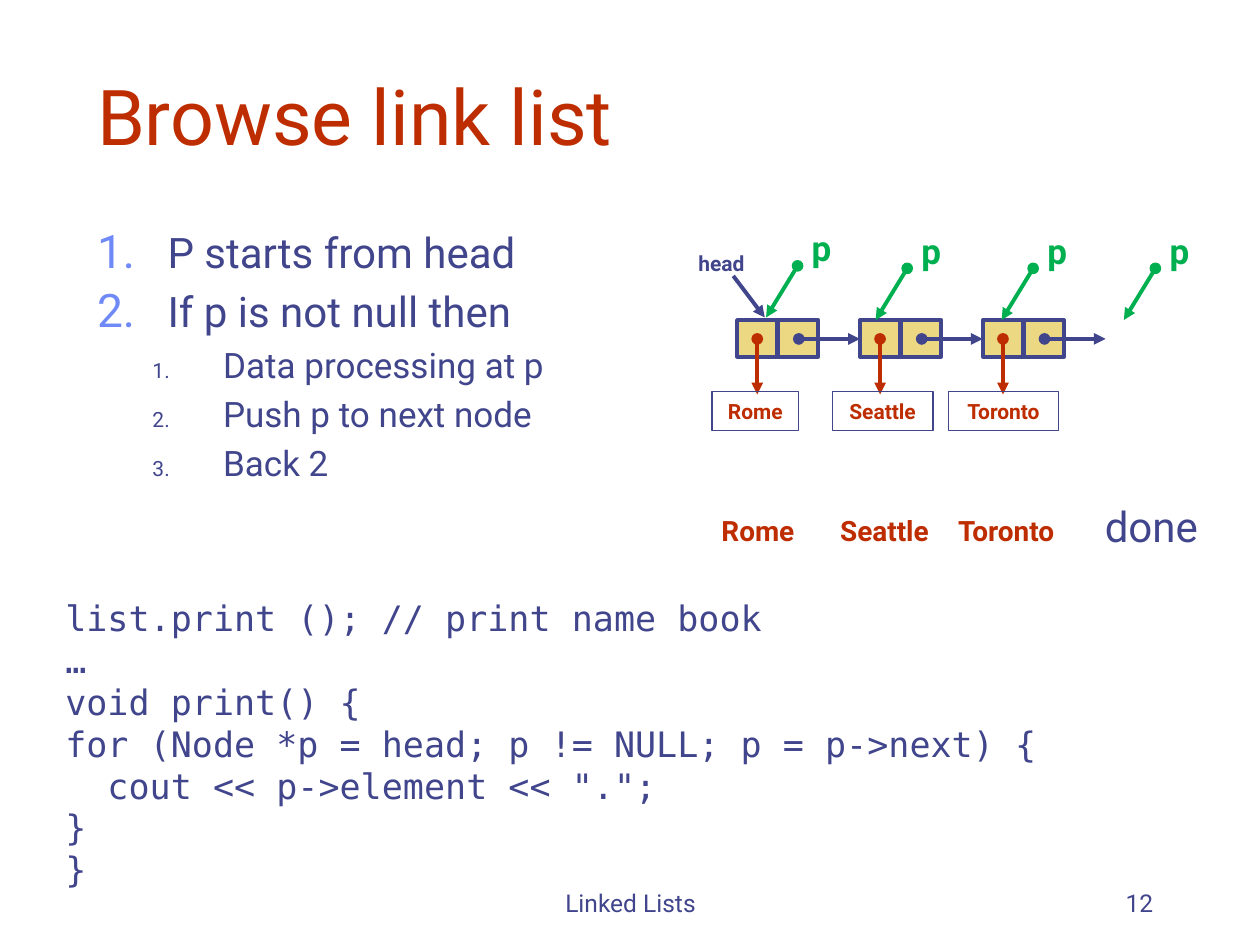
from lxml.etree import SubElement
from pptx import Presentation
from pptx.dml.color import RGBColor
from pptx.enum.shapes import MSO_CONNECTOR as Connector, MSO_SHAPE as Shape
from pptx.enum.text import MSO_ANCHOR as Anchor, MSO_AUTO_SIZE as AutoSize, PP_ALIGN as Align
from pptx.oxml.ns import qn
from pptx.util import Inches, Pt

INK, RUST, GREEN, SAND, SKY = "40458C", "BE2D00", "00B050", "ECD882", "6F89F7"
SANS, MONO = "Roboto", "DejaVu Sans Mono"
CITIES = ["Rome", "Seattle", "Toronto"]


def rgb(code):
    return RGBColor.from_string(code)


def inches(box):
    return [Inches(length) for length in box]


def place(shape, box):
    shape.left, shape.top, shape.width, shape.height = inches(box)


def write(paragraph, words, size, color, bold=False, font=SANS, align=Align.LEFT):
    paragraph.alignment = align
    run = paragraph.add_run()
    run.text = words
    run.font.size, run.font.name, run.font.bold = Pt(size), font, bold
    run.font.color.rgb = rgb(color)


def add_label(shapes, box, words, size, color, bold=True, align=Align.CENTER, wrap=False):
    label = shapes.add_textbox(*inches(box))
    frame = label.text_frame
    frame.word_wrap, frame.auto_size = wrap, AutoSize.SHAPE_TO_FIT_TEXT
    write(frame.paragraphs[0], words, size, color, bold, align=align)


def add_arrow(shapes, start, end, color, dotted=True):
    arrow = shapes.add_connector(Connector.STRAIGHT, *inches(start + end))
    arrow.line.color.rgb, arrow.line.width = rgb(color), Pt(2.25)
    outline = arrow.line._ln
    if dotted:
        SubElement(outline, qn("a:headEnd"), type="oval")
    SubElement(outline, qn("a:tailEnd"), type="triangle")
    SubElement(arrow._element.spPr, qn("a:effectLst"))


def add_rect(shapes, box, weight, fill=None):
    rect = shapes.add_shape(Shape.RECTANGLE, *inches(box))
    rect.shadow.inherit = False
    rect.line.color.rgb, rect.line.width = rgb(INK), Pt(weight)
    if fill:
        rect.fill.solid()
        rect.fill.fore_color.rgb = rgb(fill)
    else:
        rect.fill.background()
    return rect


def number(paragraph, margin, color, percent):
    props = paragraph._p.get_or_add_pPr()
    props.set("marL", str(Inches(margin)))
    props.set("indent", str(Inches(-0.56)))
    tint = SubElement(props, qn("a:buClr"))
    SubElement(tint, qn("a:srgbClr"), val=color)
    SubElement(props, qn("a:buSzPct"), val=str(percent * 1000))
    SubElement(props, qn("a:buFont"), typeface=SANS)
    SubElement(props, qn("a:buAutoNum"), type="arabicPeriod")


def fill_title(title, box):
    place(title, box)
    frame = title.text_frame
    frame.vertical_anchor, frame.auto_size = Anchor.BOTTOM, AutoSize.NONE
    write(frame.paragraphs[0], "Browse link list", 44, RUST)


def fill_steps(body, box):
    place(body, box)
    frame = body.text_frame
    frame.auto_size = AutoSize.NONE
    steps = [("P starts from head", 0), ("If p is not null then", 0),
             ("Data processing at p", 1), ("Push p to next node", 1), ("Back 2", 1)]
    styles = [(24, 0.56, SKY, 110), (20, 1, INK, 60)]
    for index, (words, level) in enumerate(steps):
        paragraph = frame.add_paragraph() if index else frame.paragraphs[0]
        paragraph.level = level
        size, margin, color, percent = styles[level]
        write(paragraph, words, size, INK)
        number(paragraph, margin, color, percent)


def add_chain(slide, left, top):
    shapes = slide.shapes.add_group_shape().shapes
    cell, pitch = 0.325, 0.975
    middle = top + 0.75
    nodes = [left + 0.43 + pitch * index for index in range(len(CITIES))]
    for node in nodes:
        for column in range(2):
            add_rect(shapes, (node + cell * column, top + 0.6, 0.32, 0.29), 2.25, SAND)
        add_arrow(shapes, (node + 0.49, middle), (node + pitch, middle), INK)
    names = zip(nodes, CITIES, [-0.2, -0.22, -0.27], [0.69, 0.8, 0.87])
    for node, city, shift, width in names:
        add_arrow(shapes, (node + 0.16, middle), (node + 0.16, top + 1.19), RUST)
        frame = add_rect(shapes, (node + shift, top + 1.17, width, 0.31), 0.75).text_frame
        frame.word_wrap, frame.auto_size = False, AutoSize.SHAPE_TO_FIT_TEXT
        write(frame.paragraphs[0], city, 12, RUST, True, align=Align.CENTER)
    add_arrow(shapes, (left + 0.4, top + 0.25), (left + 0.65, top + 0.58), INK, dotted=False)
    add_label(shapes, (left, top, 0.61, 0.3), "head", 12, INK)


def add_pointer(slide, left, top):
    shapes = slide.shapes.add_group_shape().shapes
    add_label(shapes, (left, top, 0.38, 0.44), "p", 20, GREEN)
    add_arrow(shapes, (left, top + 0.36), (left - 0.25, top + 0.77), GREEN)


def add_output(slide, left, top):
    for city, shift, width in zip(CITIES, [0, 0.93, 1.85], [0.85, 1, 1.09]):
        add_label(slide.shapes, (left + shift, top + 0.11, width, 0.37), city, 16, RUST)
    add_label(slide.shapes, (left + 3.08, top, 1, 0.51), "done", 24, INK,
              bold=False, align=Align.LEFT, wrap=True)


def add_code(slide, box):
    frame = slide.shapes.add_textbox(*inches(box)).text_frame
    frame.word_wrap = True
    lines = ["list.print (); // print name book", "…", "void print() {",
             "for (Node *p = head; p != NULL; p = p->next) {",
             "  cout << p->element << \".\";", "}", "}"]
    for index, line in enumerate(lines):
        paragraph = frame.add_paragraph() if index else frame.paragraphs[0]
        paragraph.line_spacing, paragraph.space_before = 0.8, Pt(4.7)
        write(paragraph, line, 20, INK, font=MONO)


def add_footer(slide, box, words, align):
    frame = slide.shapes.add_textbox(*inches(box)).text_frame
    frame.word_wrap, frame.vertical_anchor = True, Anchor.BOTTOM
    write(frame.paragraphs[0], words, 14, INK, align=align)


def main():
    deck = Presentation()
    deck.slide_width, deck.slide_height = Inches(10), Inches(7.5)
    slide = deck.slides.add_slide(deck.slide_layouts[1])
    fill_title(slide.shapes.title, (0.67, 0.33, 8.75, 1))
    fill_steps(slide.placeholders[1], (0.67, 1.75, 4.29, 2.33))
    add_footer(slide, (3.42, 6.83, 3.17, 0.5), "Linked Lists", Align.CENTER)
    add_footer(slide, (7.17, 6.83, 2.08, 0.5), "12", Align.RIGHT)
    add_chain(slide, 5.42, 1.94)
    for left, top in [(6.33, 1.75), (7.2, 1.77), (8.2, 1.77), (9.17, 1.77)]:
        add_pointer(slide, left, top)
    add_output(slide, 5.59, 3.92)
    add_code(slide, (0.42, 4.75, 10.5, 2.33))
    deck.save("out.pptx")


if __name__ == "__main__":
    main()
